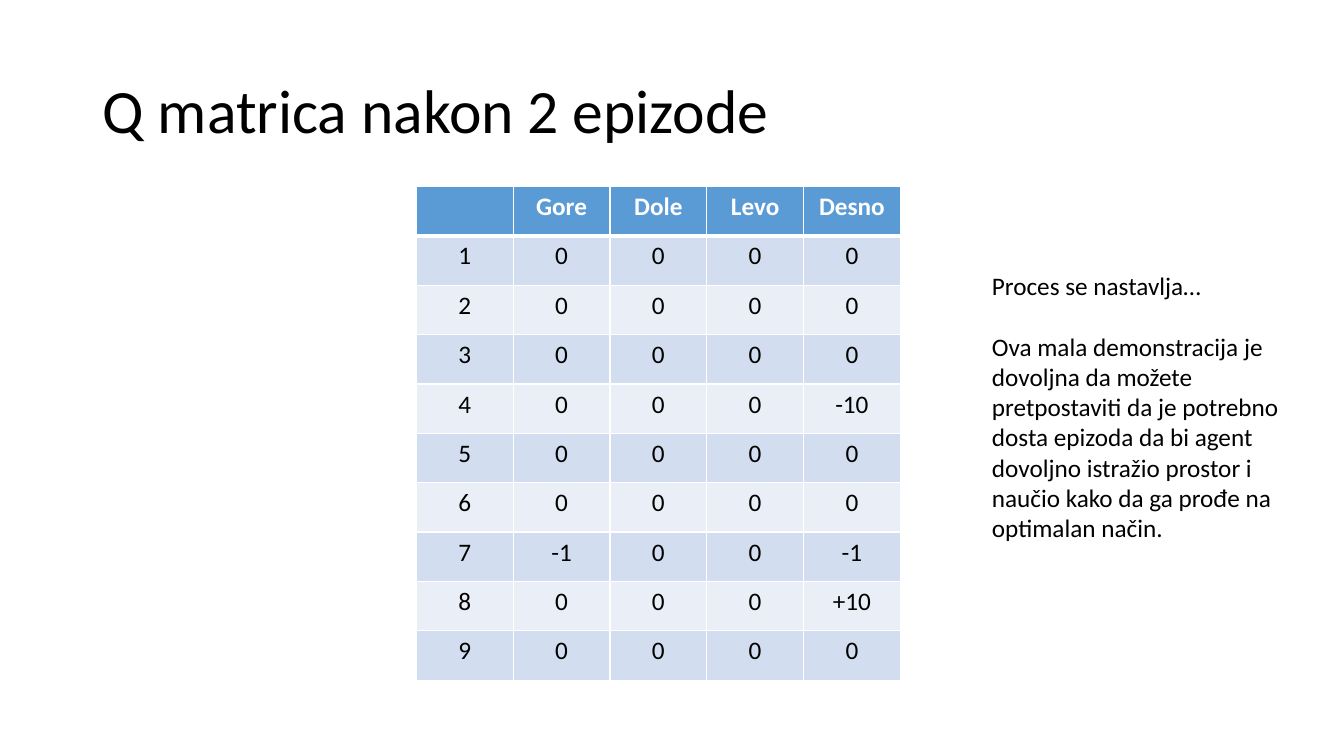
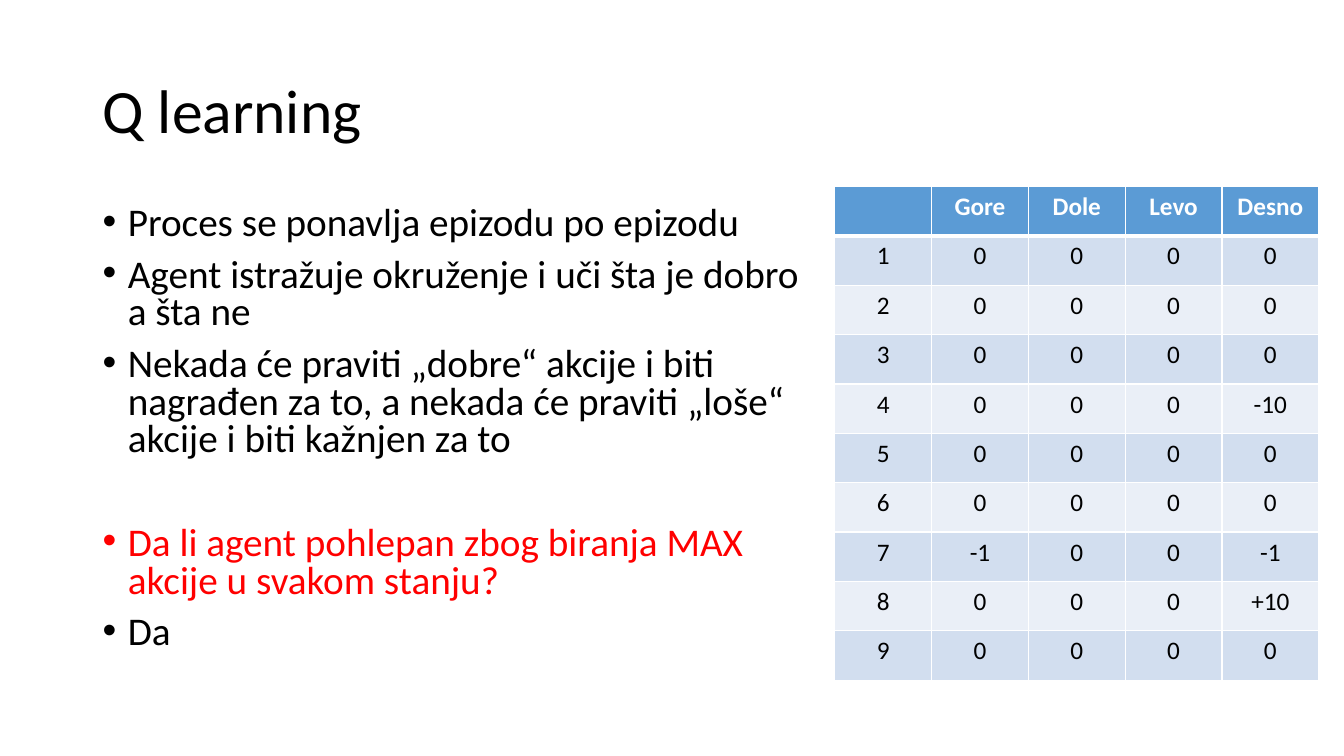
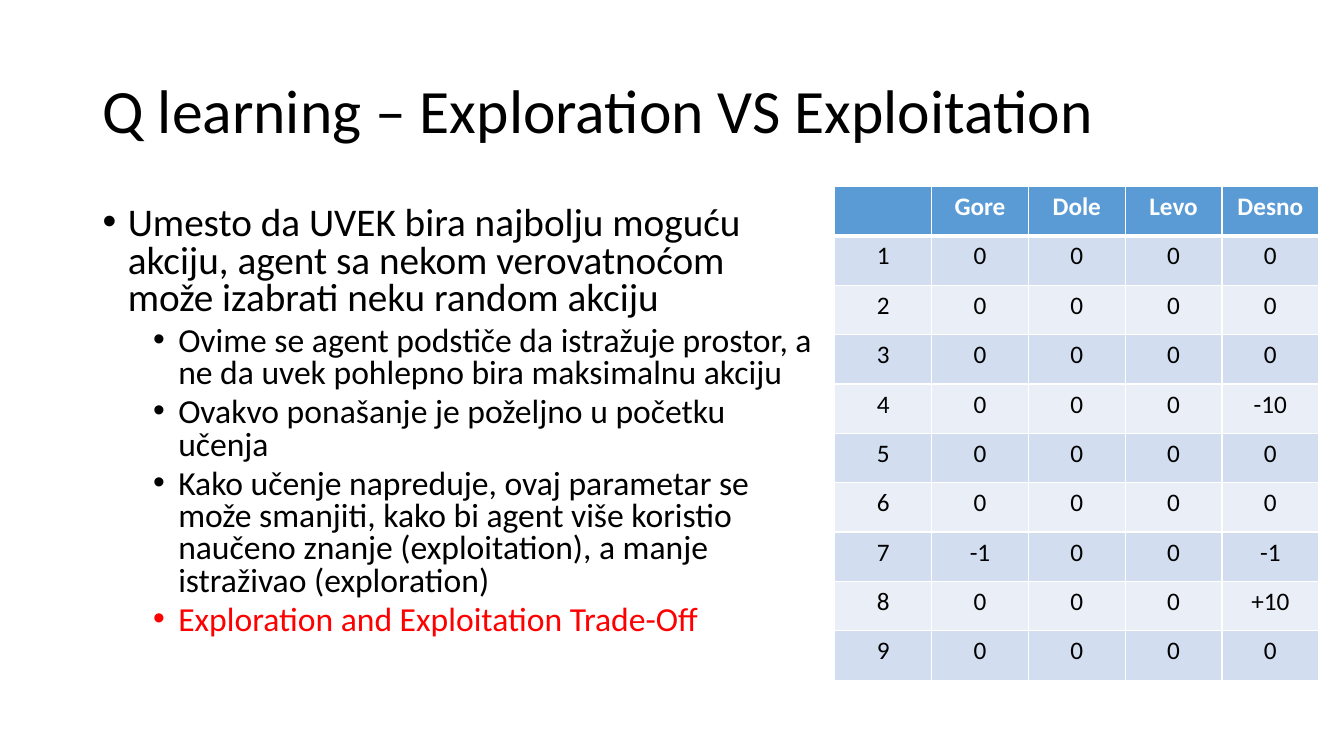
from lxml import etree
from pptx import Presentation, util as u
from pptx.dml import color
from pptx.enum import text
from pptx.oxml import ns

PX = 9144  # EMU per px, 100 px to the inch
ACTIONS = ["Gore", "Dole", "Levo", "Desno"]
STATES = range(1, 10)
LEARNED = {(4, "Desno"): "-10", (7, "Gore"): "-1", (7, "Desno"): "-1", (8, "Desno"): "+10"}


def px(length):
    return u.Emu(length * PX)


def rgb(value):
    return color.RGBColor.from_string(value)


class Deck:
    FONT = "Calibri"
    BLACK, WHITE, RED = "000000", "FFFFFF", "FF0000"
    HEADER, BANDS = "5B9BD5", ("D2DEEF", "EAEFF7")
    # level: text size, left indent, space before
    LEVELS = {0: (28, 25, 10), 1: (24, 75, 5)}
    HANGING = 25

    def __init__(self):
        self.deck = Presentation()
        self.deck.slide_width, self.deck.slide_height = px(1333), px(750)
        self.page = None

    def add_page(self, title):
        self.page = self.deck.slides.add_slide(self.deck.slide_layouts[6])
        frame = self.text_frame(92, 40, 1150, 145)
        frame.vertical_anchor = text.MSO_ANCHOR.MIDDLE
        para = frame.paragraphs[0]
        self.set_text(para, title, 44)
        para.line_spacing = 0.9

    def text_frame(self, left, top, width, height):
        box = self.page.shapes.add_textbox(px(left), px(top), px(width), px(height))
        box.text_frame.word_wrap = True
        return box.text_frame

    def set_text(self, para, words, size, ink=BLACK, bold=False):
        para.text = words
        font = para.font
        font.name, font.size, font.bold = self.FONT, u.Pt(size), bold
        font.color.rgb = rgb(ink)

    def paragraphs(self, frame, count):
        return [frame.paragraphs[0]] + [frame.add_paragraph() for _ in range(count - 1)]

    def note(self, left, top, width, height, lines, gap):
        frame = self.text_frame(left, top, width, height)
        for para, words in zip(self.paragraphs(frame, len(lines)), lines):
            self.set_text(para, words, 18)
        for para in frame.paragraphs[1:]:
            para.space_before = u.Pt(gap)

    def bullets(self, items):
        """Each item is (level, words, options); options may set ink and before."""
        frame = self.text_frame(92, 200, 730, 476)
        for para, (level, words, options) in zip(self.paragraphs(frame, len(items)), items):
            size, indent, before = self.LEVELS[level]
            props = para._p.get_or_add_pPr()
            props.set("marL", str(px(indent)))
            props.set("indent", str(-px(self.HANGING)))
            etree.SubElement(props, ns.qn("a:buFont")).set("typeface", "Arial")
            etree.SubElement(props, ns.qn("a:buChar")).set("char", "•")
            para.level = level
            para.line_spacing = 0.8
            para.space_before = u.Pt(options.get("before", before))
            self.set_text(para, words, size, options.get("ink", self.BLACK))

    def borders(self, cell, **widths):
        """Draw white cell borders; widths are points by side: L, R, T, B."""
        props = cell._tc.get_or_add_tcPr()
        for side in "LRTB":
            line = etree.SubElement(props, ns.qn("a:ln" + side))
            line.set("w", str(u.Pt(widths.get(side, 1))))
            fill = etree.SubElement(line, ns.qn("a:solidFill"))
            etree.SubElement(fill, ns.qn("a:srgbClr")).set("val", self.WHITE)

    def q_table(self, left):
        rows = [[""] + ACTIONS]
        rows += [[str(state)] + [LEARNED.get((state, action), "0") for action in ACTIONS]
                 for state in STATES]
        column, row_height = 96, 49
        table = self.page.shapes.add_table(
            len(rows), len(rows[0]), px(left), px(185),
            px(column * len(rows[0])), px(row_height * len(rows))).table
        for row, values in enumerate(rows):
            header = row == 0
            for col, value in enumerate(values):
                cell = table.cell(row, col)
                self.borders(cell, B=3 if header else 1, T=3 if row == 1 else 1)
                cell.fill.solid()
                cell.fill.fore_color.rgb = rgb(self.HEADER if header else self.BANDS[(row - 1) % 2])
                para = cell.text_frame.paragraphs[0]
                para.alignment = text.PP_ALIGN.CENTER
                self.set_text(para, value, 18, self.WHITE if header else self.BLACK, header)

    def save(self):
        self.deck.save("out.pptx")


def main():
    deck = Deck()
    table_left = 828

    deck.add_page("Q matrica nakon 2 epizode")
    deck.q_table(413)
    deck.note(974, 263, 316, 283, [
        "Proces se nastavlja…",
        "Ova mala demonstracija je dovoljna da možete pretpostaviti da je potrebno dosta "
        "epizoda da bi agent dovoljno istražio prostor i naučio kako da ga prođe na "
        "optimalan način.",
    ], gap=22)

    deck.add_page("Q learning")
    deck.bullets([
        (0, "Proces se ponavlja epizodu po epizodu", {}),
        (0, "Agent istražuje okruženje i uči šta je dobro a šta ne", {}),
        (0, "Nekada će praviti „dobre“ akcije i biti nagrađen za to, a nekada će praviti "
            "„loše“ akcije i biti kažnjen za to", {}),
        (0, "Da li agent pohlepan zbog biranja MAX akcije u svakom stanju?",
         {"ink": Deck.RED, "before": 47}),
        (0, "Da", {}),
    ])
    deck.q_table(table_left)

    deck.add_page("Q learning – Exploration VS Exploitation")
    deck.bullets([
        (0, "Umesto da UVEK bira najbolju moguću akciju, agent sa nekom verovatnoćom "
            "može izabrati neku random akciju", {}),
        (1, "Ovime se agent podstiče da istražuje prostor, a ne da uvek pohlepno bira "
            "maksimalnu akciju", {}),
        (1, "Ovakvo ponašanje je poželjno u početku učenja", {}),
        (1, "Kako učenje napreduje, ovaj parametar se može smanjiti, kako bi agent više "
            "koristio naučeno znanje (exploitation), a manje istraživao (exploration)", {}),
        (1, "Exploration and Exploitation Trade-Off", {"ink": Deck.RED}),
    ])
    deck.q_table(table_left)

    deck.save()


if __name__ == "__main__":
    main()
